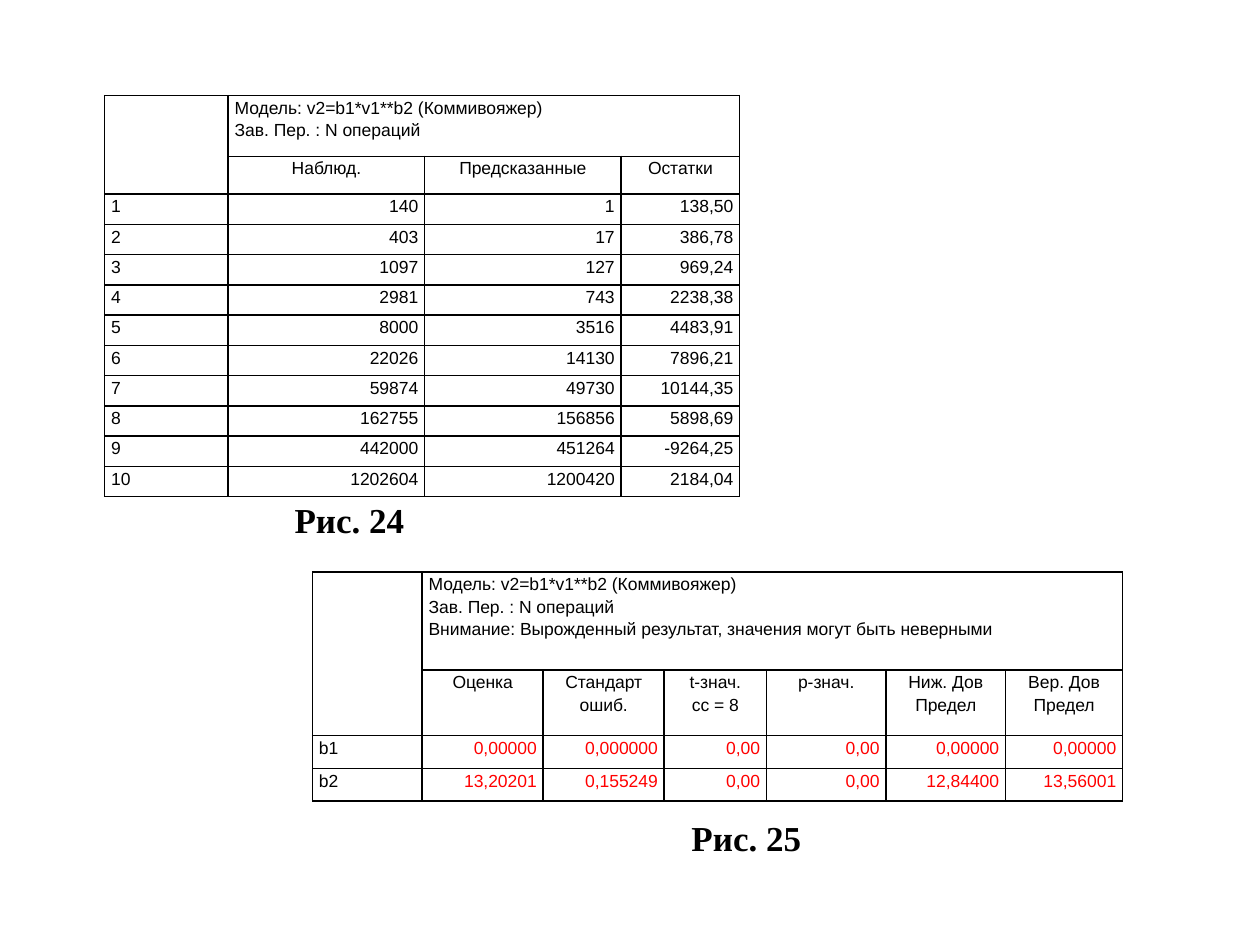
from lxml import etree
from pptx import Presentation
from pptx.dml.color import RGBColor
from pptx.enum.text import PP_ALIGN
from pptx.oxml.ns import qn
from pptx.util import Cm, Pt

LEFT, CENTER, RIGHT = PP_ALIGN.JUSTIFY, PP_ALIGN.CENTER, PP_ALIGN.RIGHT
BLACK, RED = "000000", "FF0000"
MODEL = "Модель: v2=b1*v1**b2 (Коммивояжер)\nЗав. Пер. : N операций"

FORECAST = {
    "at": (2.11, 1.93),
    "cols": [2.49, 3.96, 3.96, 2.39],
    "rows": [1.22] + [0.61] * 11,
    "number_color": BLACK,
    "title": MODEL,
    "heads": ["Наблюд.", "Предсказанные", "Остатки"],
    "data": [
        ("1", "140", "1", "138,50"),
        ("2", "403", "17", "386,78"),
        ("3", "1097", "127", "969,24"),
        ("4", "2981", "743", "2238,38"),
        ("5", "8000", "3516", "4483,91"),
        ("6", "22026", "14130", "7896,21"),
        ("7", "59874", "49730", "10144,35"),
        ("8", "162755", "156856", "5898,69"),
        ("9", "442000", "451264", "-9264,25"),
        ("10", "1202604", "1200420", "2184,04"),
    ],
}
ESTIMATES = {
    "at": (6.3, 11.53),
    "cols": [2.21, 2.44, 2.44, 2.06, 2.41, 2.41, 2.36],
    "rows": [1.98, 1.32, 0.66, 0.66],
    "number_color": RED,
    "title": MODEL + "\nВнимание: Вырожденный результат, значения могут быть неверными",
    "heads": ["Оценка", "Стандарт\nошиб.", "t-знач.\nсс = 8", "p-знач.",
              "Ниж. Дов\nПредел", "Вер. Дов\nПредел"],
    "data": [
        ("b1", "0,00000", "0,000000", "0,00", "0,00", "0,00000", "0,00000"),
        ("b2", "13,20201", "0,155249", "0,00", "0,00", "12,84400", "13,56001"),
    ],
}
CAPTIONS = [
    ("Рис. 24", 5.69, 9.93, 3.61),
    ("Рис. 25", 13.69, 16.33, 5),
]


def set_font(r, name, size, color, bold=False):
    r.font.name, r.font.size, r.font.bold = name, Pt(size), bold
    r.font.color.rgb = RGBColor.from_string(color)


def add_borders(cell):
    """Draw a thin black line on all four sides of the cell."""
    props = cell._tc.get_or_add_tcPr()
    for i, side in enumerate(("a:lnL", "a:lnR", "a:lnT", "a:lnB")):
        ln = etree.Element(qn(side), w=str(Pt(1)))
        fill = etree.SubElement(ln, qn("a:solidFill"))
        etree.SubElement(fill, qn("a:srgbClr"), val=BLACK)
        props.insert(i, ln)


def write_cell(cell, text, align, color=BLACK):
    cell.text_frame.text = text
    for p in cell.text_frame.paragraphs:
        p.alignment, p.line_spacing = align, 1.15
        for r in p.runs:
            set_font(r, "Arial", 10, color)


def add_result_table(slide, content):
    cols, rows = content["cols"], content["rows"]
    x, y = content["at"]
    table = slide.shapes.add_table(len(rows), len(cols), Cm(x), Cm(y),
                                   Cm(sum(cols)), Cm(sum(rows))).table
    for column, width in zip(table.columns, cols):
        column.width = Cm(width)
    for row, height in zip(table.rows, rows):
        row.height = Cm(height)
    for cell in table.iter_cells():
        cell.margin_left = cell.margin_right = Cm(0.13)
        cell.margin_top = cell.margin_bottom = 0
        cell.fill.background()
        add_borders(cell)

    table.cell(0, 0).merge(table.cell(1, 0))
    table.cell(0, 1).merge(table.cell(0, len(cols) - 1))
    write_cell(table.cell(0, 1), content["title"], LEFT)
    for c, head in enumerate(content["heads"], 1):
        write_cell(table.cell(1, c), head, CENTER)
    for r, (label, *numbers) in enumerate(content["data"], 2):
        write_cell(table.cell(r, 0), label, LEFT)
        for c, number in enumerate(numbers, 1):
            write_cell(table.cell(r, c), number, RIGHT, content["number_color"])


def main():
    prs = Presentation()
    prs.slide_width, prs.slide_height = Cm(25.4), Cm(19.05)
    slide = prs.slides.add_slide(prs.slide_layouts[6])
    for text, x, y, width in CAPTIONS:
        tf = slide.shapes.add_textbox(Cm(x), Cm(y), Cm(width), Cm(1.12)).text_frame
        tf.word_wrap = True
        tf.text = text
        set_font(tf.paragraphs[0].runs[0], "Times New Roman", 20, BLACK, bold=True)
    for content in (ESTIMATES, FORECAST):
        add_result_table(slide, content)
    prs.save("out.pptx")


if __name__ == "__main__":
    main()
